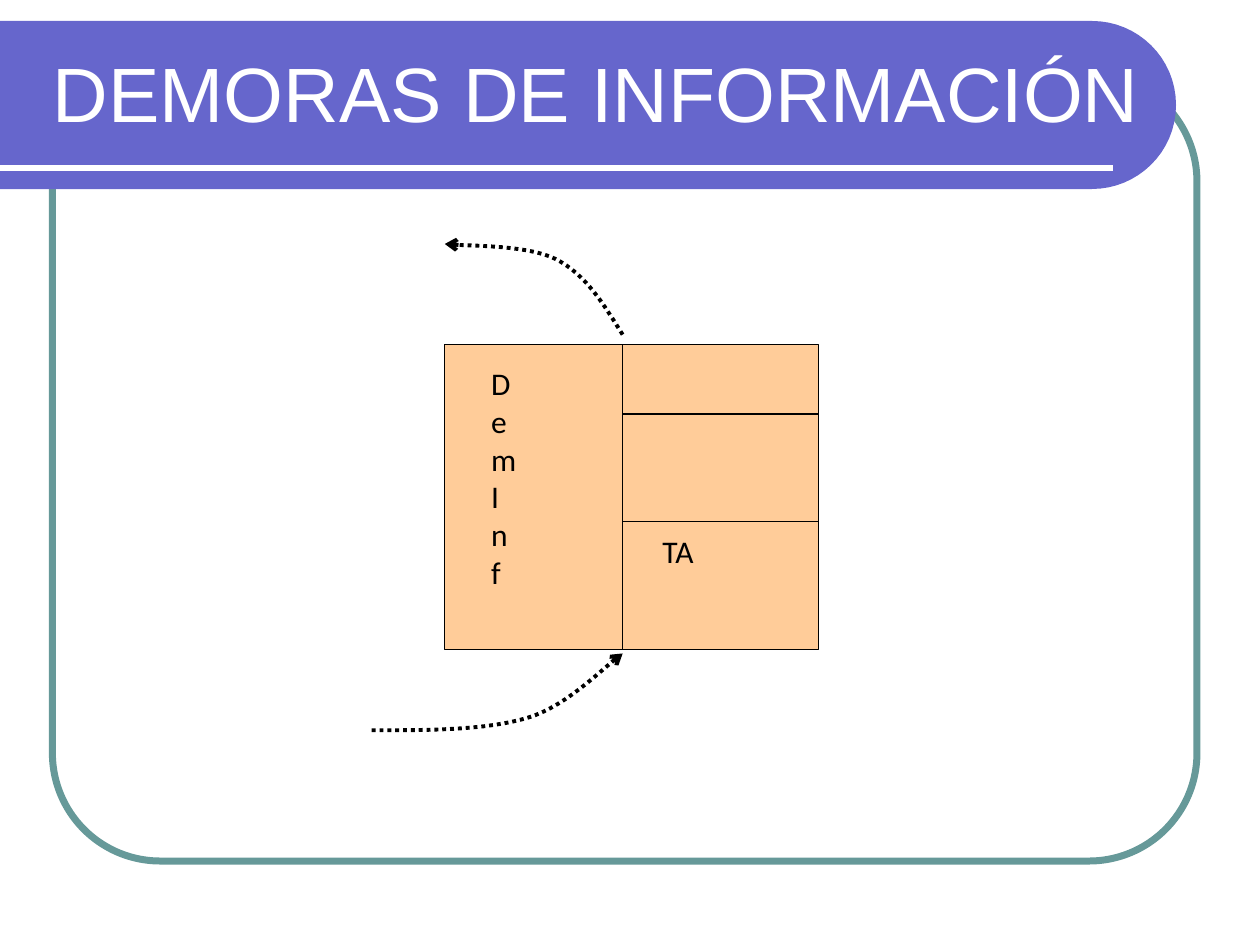
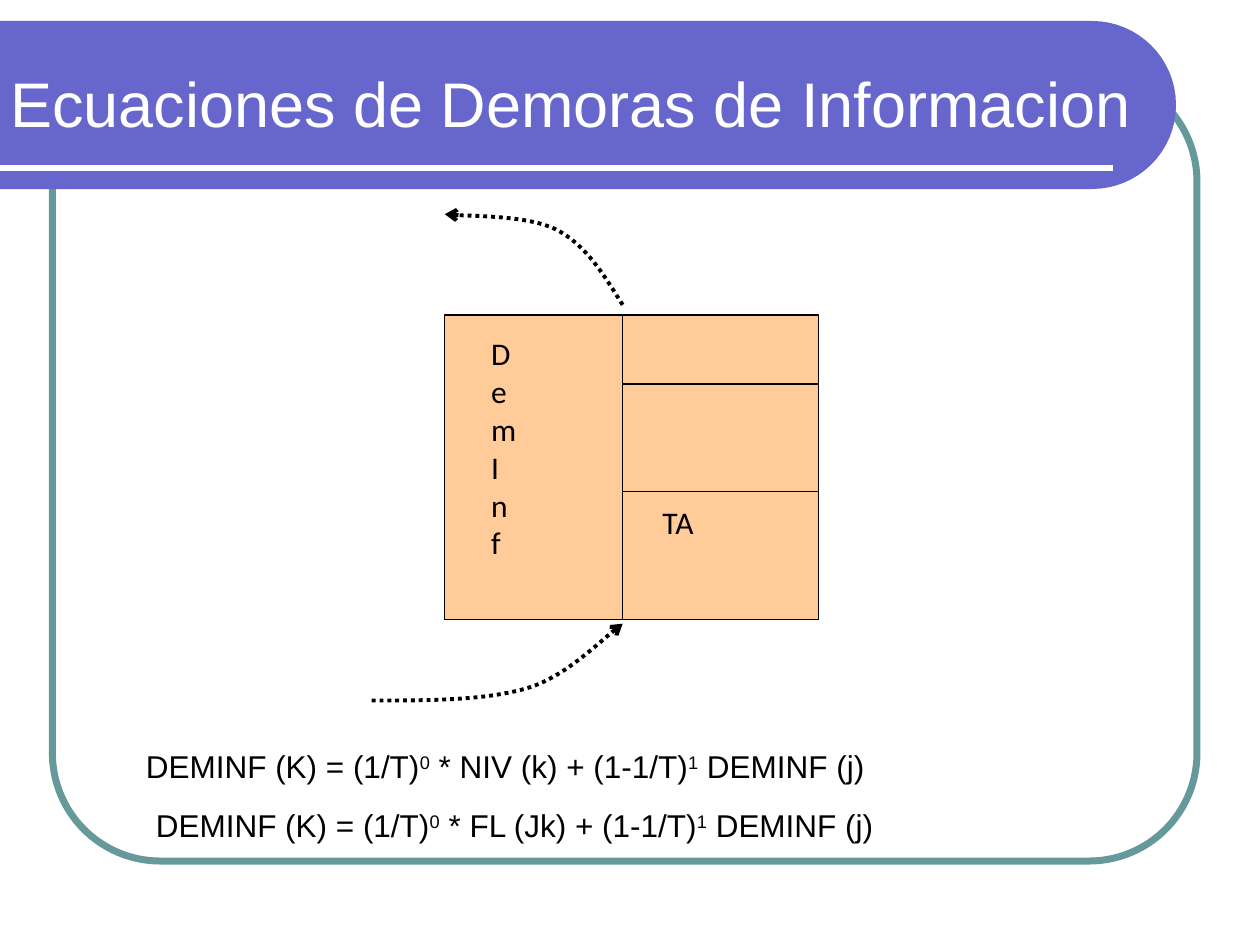
import lxml.etree
import pptx
import pptx.dml.color
import pptx.enum.dml
import pptx.enum.shapes
import pptx.enum.text
import pptx.oxml.ns
import pptx.util

Pt = pptx.util.Pt
RGBColor = pptx.dml.color.RGBColor
qn = pptx.oxml.ns.qn

WHITE = RGBColor(0xFF, 0xFF, 0xFF)
BLACK = RGBColor(0x00, 0x00, 0x00)
VIOLET = RGBColor(0x66, 0x66, 0xCC)
TEAL = RGBColor(0x66, 0x99, 0x99)
PEACH = RGBColor(0xFF, 0xCC, 0x99)

TITLE_ONLY = 5
CURVE_STEPS = 16
PLAIN_TEXT = {
    "auto_size": pptx.enum.text.MSO_AUTO_SIZE.NONE,
    "vertical_anchor": pptx.enum.text.MSO_ANCHOR.TOP,
}
LABEL_FONT = {"name": "Calibri", "size": Pt(18)}
EQUATION_FONT = {"name": "Arial", "size": Pt(18)}


def set_all(target, values):
    for attribute, value in values.items():
        setattr(target, attribute, value)


def bezier(points):
    """Sample chained cubic curves: a start, then three points per curve."""
    samples = [points[0]]
    for first in range(0, len(points) - 1, 3):
        controls = points[first:first + 4]
        for step in range(1, CURVE_STEPS + 1):
            t = step / CURVE_STEPS
            weights = ((1 - t) ** 3, 3 * t * (1 - t) ** 2,
                       3 * t ** 2 * (1 - t), t ** 3)
            samples.append(tuple(
                sum(w * point[axis] for w, point in zip(weights, controls))
                for axis in (0, 1)))
    return samples


class Deck:
    def __init__(self):
        self.presentation = pptx.Presentation()
        self.presentation.slide_width = Pt(720)
        self.presentation.slide_height = Pt(540)
        self.layout = self.presentation.slide_layouts[TITLE_ONLY]
        for holder in list(self.layout.placeholders):
            if holder.placeholder_format.idx:
                holder.element.getparent().remove(holder.element)
        self.slide = None

    def new_slide(self, title, left, top, width, height, size):
        first = self.slide is None
        self.slide = self.presentation.slides.add_slide(self.layout)
        if first:
            self.frame_layout()
        heading = self.slide.shapes.title
        set_all(heading, {"left": Pt(left), "top": Pt(top),
                          "width": Pt(width), "height": Pt(height)})
        self.fill_text(heading, [[(title, 0)]],
                       {"name": "Arial", "size": Pt(size)}, WHITE, wrap=False)

    def frame_layout(self):
        """Draw the border and title band, then hand them to the layout."""
        border = self.box(30, 42, 654, 450, line=TEAL, weight=4,
                          kind=pptx.enum.shapes.MSO_SHAPE.ROUNDED_RECTANGLE)
        border.adjustments[0] = 0.137
        band_end = bezier([(624, 12), (650, 12), (672, 33), (672, 60),
                           (672, 87), (650, 108), (624, 108)])
        band = self.outline([(0, 12), *band_end, (0, 108)], close=True)
        self.paint(band, VIOLET, None)
        rule = self.line(0, 96, 636, 96, WHITE, 3)
        layout_title = self.layout.placeholders[0].element
        for part in (border, band, rule):
            layout_title.addprevious(part.element)

    def paint(self, shape, fill, line, weight=0.75):
        shape.shadow.inherit = False
        if fill is None:
            shape.fill.background()
        else:
            shape.fill.solid()
            shape.fill.fore_color.rgb = fill
        if line is None:
            shape.line.fill.background()
        else:
            shape.line.color.rgb = line
            shape.line.width = Pt(weight)

    def box(self, left, top, width, height, fill=None, line=None, weight=0.75,
            kind=pptx.enum.shapes.MSO_SHAPE.RECTANGLE):
        shape = self.slide.shapes.add_shape(
            kind, Pt(left), Pt(top), Pt(width), Pt(height))
        self.paint(shape, fill, line, weight)
        return shape

    def line(self, x1, y1, x2, y2, color=BLACK, weight=0.75):
        connector = self.slide.shapes.add_connector(
            pptx.enum.shapes.MSO_CONNECTOR.STRAIGHT,
            Pt(x1), Pt(y1), Pt(x2), Pt(y2))
        connector.line.color.rgb = color
        connector.line.width = Pt(weight)
        lxml.etree.SubElement(connector.element.spPr, qn("a:effectLst"))
        return connector

    def outline(self, points, close):
        start, *rest = [(Pt(x), Pt(y)) for x, y in points]
        builder = self.slide.shapes.build_freeform(*start)
        builder.add_line_segments(rest, close=close)
        return builder.convert_to_shape()

    def curved_arrow(self, points):
        arrow = self.outline(bezier(points), close=False)
        self.paint(arrow, None, BLACK, 2.25)
        arrow.line.dash_style = pptx.enum.dml.MSO_LINE.ROUND_DOT
        stroke = arrow.element.spPr.find(qn("a:ln"))
        lxml.etree.SubElement(stroke, qn("a:tailEnd"), type="arrow")

    def fill_text(self, shape, paragraphs, font, color, wrap=True, after=0):
        """Fill a shape; each paragraph lists (text, baseline percent) runs."""
        frame = shape.text_frame
        set_all(frame, {**PLAIN_TEXT, "word_wrap": wrap})
        for index, runs in enumerate(paragraphs):
            paragraph = frame.add_paragraph() if index else frame.paragraphs[0]
            set_all(paragraph, {"alignment": pptx.enum.text.PP_ALIGN.LEFT,
                                "space_after": Pt(after)})
            for text, baseline in runs:
                run = paragraph.add_run()
                run.text = text
                set_all(run.font, font)
                run.font.color.rgb = color
                if baseline:
                    run.font._element.set("baseline", str(baseline * 1000))

    def delay_diagram(self, top):
        """Draw the information delay block with its flows in and out."""
        left, divider, right, height = 254.2, 355.8, 467.6, 174
        self.curved_arrow([(x, top + y) for x, y in (
            (divider, -5.8), (345, -23), (334.8, -40.3), (317.5, -49),
            (300.2, -57.6), (265, -56.2), (left, -57.6))])
        self.box(left, top, right - left, height, PEACH, BLACK)
        self.line(divider, top, divider, top + height)
        for row in (39.5, 101):
            self.line(divider, top + row, right, top + row)
        self.curved_arrow([(x, top + y) for x, y in (
            (212.4, 220.3), (244.8, 220.3), (277.9, 220.3), (301.7, 213.1),
            (325.4, 205.9), (347, 182.2), (divider, 176.4))])
        delay = self.box(273.6, top + 7.5, 70, 159, PEACH)
        self.fill_text(delay, [[(letter, 0)] for letter in "DemInf"],
                       LABEL_FONT, BLACK)
        time_constant = self.box(371.5, top + 103.7, 75, 36, PEACH)
        self.fill_text(time_constant, [[("TA", 0)]], LABEL_FONT, BLACK,
                       after=10)

    def equation(self, left, top, source):
        field = self.slide.shapes.add_textbox(
            Pt(left), Pt(top), Pt(471), Pt(29))
        runs = [("DEMINF (K) = (1/T)", 0), ("0", 30),
                (f" * {source} + (1-1/T)", 0), ("1", 30), (" DEMINF (j)", 0)]
        self.fill_text(field, [runs], EQUATION_FONT, BLACK)


def main():
    deck = Deck()
    deck.new_slide("DEMORAS DE INFORMACIÓN", 23, 22.3, 641.5, 60.5, 44)
    deck.delay_diagram(197)

    deck.new_slide("Ecuaciones de Demoras de Informacion",
                   -1.4, 33.1, 661, 51, 36)
    deck.delay_diagram(180)
    deck.equation(76.3, 423.4, "NIV (k)")
    deck.equation(82, 457.2, "FL (Jk)")
    deck.presentation.save("out.pptx")


if __name__ == "__main__":
    main()
